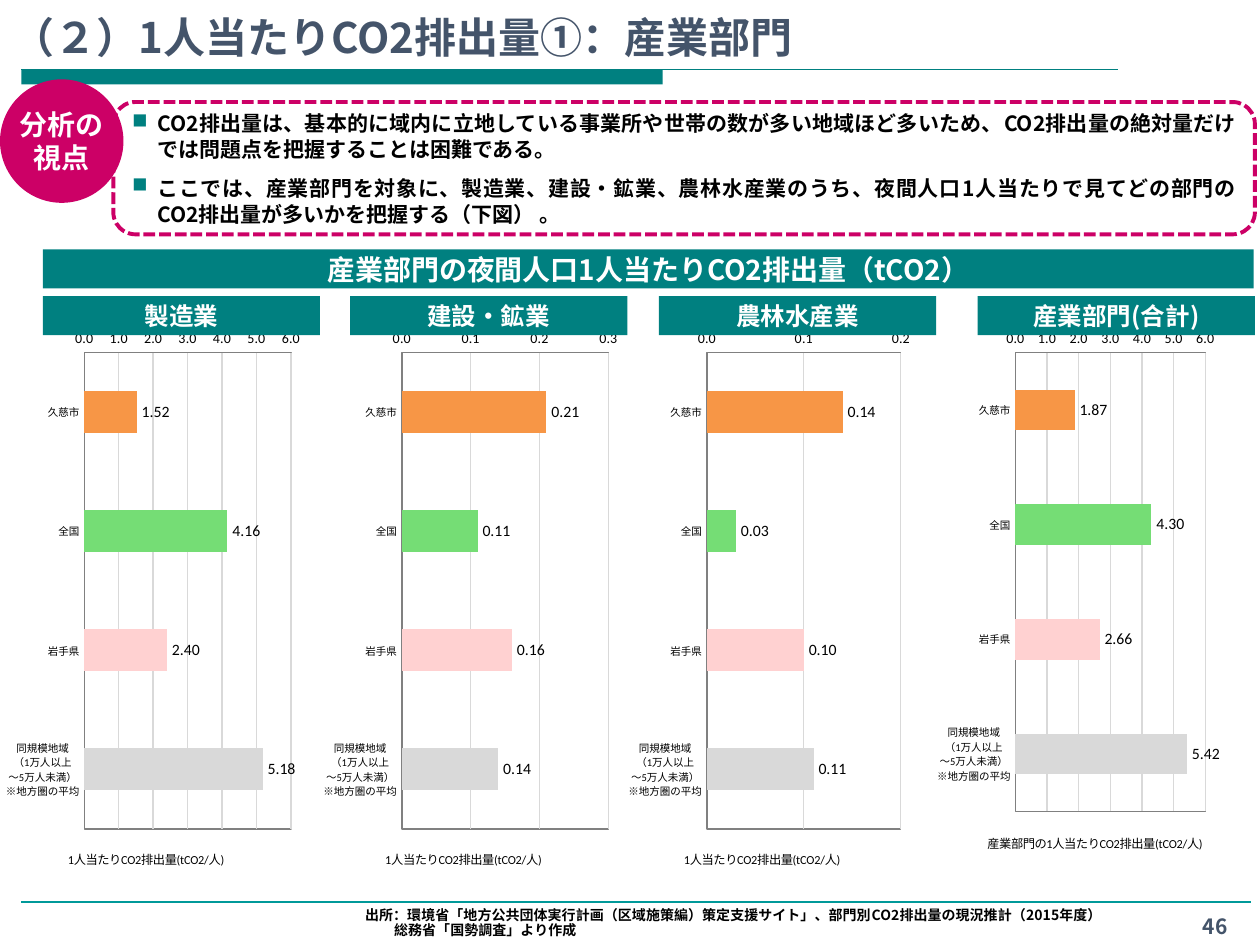
from dataclasses import dataclass

from lxml import etree
from pptx import Presentation
from pptx.chart.data import CategoryChartData
from pptx.dml.color import RGBColor
from pptx.enum.chart import XL_CHART_TYPE, XL_LABEL_POSITION, XL_TICK_MARK
from pptx.enum.dml import MSO_LINE
from pptx.enum.shapes import MSO_CONNECTOR, MSO_SHAPE
from pptx.enum.text import MSO_ANCHOR, PP_ALIGN
from pptx.oxml import parse_xml
from pptx.oxml.ns import nsdecls, qn
from pptx.util import Pt

SCALE = 9144  # EMU per px, 100 px to the inch
FONT, CHART_FONT = "Noto Sans CJK JP", "Calibri"
COLORS = {
    "teal": "008080", "rule": "009999", "magenta": "CC0066", "slate": "44546A",
    "black": "000000", "white": "FFFFFF", "axis": "808080", "grid": "D9D9D9",
}
BAR_COLORS = ("F79646", "75DD75", "FFD1D1", "D9D9D9")
RECT, ROUND, OVAL = MSO_SHAPE.RECTANGLE, MSO_SHAPE.ROUNDED_RECTANGLE, MSO_SHAPE.OVAL
LEFT, CENTER, JUSTIFY = PP_ALIGN.LEFT, PP_ALIGN.CENTER, PP_ALIGN.JUSTIFY
TOP, MIDDLE, BOTTOM = MSO_ANCHOR.TOP, MSO_ANCHOR.MIDDLE, MSO_ANCHOR.BOTTOM
NO_TICK = XL_TICK_MARK.NONE
CATEGORIES = ("久慈市", "全国", "岩手県", "同規模地域\n（1万人以上\n～5万人未満）\n※地方圏の平均")
UNIT_TITLE = "1人当たりCO2排出量(tCO2/人)"
CHART_TOP, CHART_HEIGHT, PLOT_TOP = 254, 453, 280


@dataclass(frozen=True)
class Frame:
    left: int
    top: int
    width: int
    height: int

    def emu(self) -> tuple:
        return tuple(px(n) for n in (self.left, self.top, self.width, self.height))


@dataclass(frozen=True)
class Sector:
    name: str
    header_left: int
    left: int
    width: int
    plot_left: int
    plot_width: int
    plot_height: int
    title_left: int
    title_top: int
    values: tuple
    maximum: float
    step: float
    title: str = UNIT_TITLE


SECTORS = (
    Sector("製造業", 34, 0, 243, 67, 164, 378, 52, 673, (1.52, 4.16, 2.40, 5.18), 6, 1),
    Sector("建設・鉱業", 278, 251, 244, 319, 164, 378, 304, 673, (0.21, 0.11, 0.16, 0.14), 0.3, 0.1),
    Sector("農林水産業", 523, 494, 233, 561, 154, 378, 541, 673, (0.14, 0.03, 0.10, 0.11), 0.2, 0.1),
    Sector("産業部門(合計)", 776, 739, 232, 806, 151, 364, 782, 660, (1.87, 4.30, 2.66, 5.42), 6, 1,
           "産業部門の" + UNIT_TITLE),
)


def px(length: int) -> int:
    return length * SCALE


def color(name: str) -> RGBColor:
    return RGBColor.from_string(COLORS[name])


def write(shape, text: str, size: int, ink: str, align=CENTER, anchor=MIDDLE, leading=None) -> None:
    frame = shape.text_frame
    frame.word_wrap = True
    frame.vertical_anchor = anchor
    frame.text = text
    for para in frame.paragraphs:
        para.alignment = align
        if leading:
            para.line_spacing = Pt(leading)
        for span in para.runs:
            span.font.size, span.font.bold, span.font.name = Pt(size), True, FONT
            span.font.color.rgb = color(ink)
            etree.SubElement(span.font._element, qn("a:ea"), typeface=FONT)


def add_block(page, kind, frame: Frame, fill: str = ""):
    shape = page.shapes.add_shape(kind, *frame.emu())
    shape.shadow.inherit = False
    shape.line.fill.background()
    if fill:
        shape.fill.solid()
        shape.fill.fore_color.rgb = color(fill)
    else:
        shape.fill.background()
    return shape


def add_label(page, frame: Frame, text: str, size: int, ink: str, **layout):
    box = page.shapes.add_textbox(*frame.emu())
    write(box, text, size, ink, **layout)
    return box


def add_rule(page, left: int, right: int, top: int, ink: str) -> None:
    rule = page.shapes.add_connector(MSO_CONNECTOR.STRAIGHT, px(left), px(top), px(right), px(top))
    rule.line.color.rgb = color(ink)
    rule.line.width = Pt(0.75)
    etree.SubElement(rule._element.spPr, qn("a:effectLst"))


def indent(para, margin: int, first: int) -> None:
    properties = para._p.get_or_add_pPr()
    properties.set("marL", str(px(margin)))
    properties.set("indent", str(px(first)))


def add_bullet(para) -> None:
    properties = para._p.get_or_add_pPr()
    bullet_color = etree.SubElement(properties, qn("a:buClr"))
    etree.SubElement(bullet_color, qn("a:srgbClr"), val=COLORS["teal"])
    etree.SubElement(properties, qn("a:buChar"), char="■")


def place(parent, position: int, inner: bool = False, **ratios: float) -> None:
    """Give a plot area or an axis title a manual layout."""
    for old in parent.findall(qn("c:layout")):
        parent.remove(old)
    layout = etree.Element(qn("c:layout"))
    manual = etree.SubElement(layout, qn("c:manualLayout"))
    if inner:
        etree.SubElement(manual, qn("c:layoutTarget"), val="inner")
    for mode in ("xMode", "yMode"):
        etree.SubElement(manual, qn(f"c:{mode}"), val="edge")
    for key, ratio in ratios.items():
        etree.SubElement(manual, qn(f"c:{key}"), val=f"{ratio:.4f}")
    parent.insert(position, layout)


def set_font(font, size: int) -> None:
    font.size, font.name, font.bold = Pt(size), CHART_FONT, False
    font.color.rgb = color("black")


def add_sector_chart(page, sector: Sector) -> None:
    data = CategoryChartData()
    data.categories = CATEGORIES
    data.add_series("Series 1", sector.values)
    frame = Frame(sector.left, CHART_TOP, sector.width, CHART_HEIGHT)
    chart = page.shapes.add_chart(XL_CHART_TYPE.BAR_CLUSTERED, *frame.emu(), data).chart
    chart.has_legend = chart.has_title = False
    set_font(chart.font, 10)

    # Bars and values
    plot = chart.plots[0]
    plot.gap_width, plot.vary_by_categories = 182, False
    series = plot.series[0]
    for index, hue in enumerate(BAR_COLORS):
        fill = series.points[index].format.fill
        fill.solid()
        fill.fore_color.rgb = RGBColor.from_string(hue)
    labels = series.data_labels
    labels.show_value, labels.position = True, XL_LABEL_POSITION.OUTSIDE_END
    labels.number_format, labels.number_format_is_linked = r"#,##0.00_);[Red]\(#,##0.00\)", False
    set_font(labels.font, 9)

    # Axes
    names, scale = chart.category_axis, chart.value_axis
    for axis, size in ((names, 6), (scale, 8)):
        axis.major_tick_mark = axis.minor_tick_mark = NO_TICK
        set_font(axis.tick_labels.font, size)
    names.reverse_order = True
    names.format.line.color.rgb = color("axis")
    names.format.line.width = Pt(0.75)
    scale.minimum_scale, scale.maximum_scale, scale.major_unit = 0, sector.maximum, sector.step
    scale.tick_labels.number_format = r"#,##0.0;[Red]\-#,##0.0"
    scale.tick_labels.number_format_is_linked = False
    scale.format.line.fill.background()
    scale.major_gridlines.format.line.color.rgb = color("grid")
    scale.major_gridlines.format.line.width = Pt(0.75)
    scale.axis_title.text_frame.text = sector.title
    set_font(scale.axis_title.text_frame.paragraphs[0].runs[0].font, 7)

    # Plot frame and positions
    area = chart._chartSpace.chart.plotArea
    area.append(parse_xml(
        f'<c:spPr {nsdecls("c", "a")}><a:noFill/><a:ln w="9525"><a:solidFill>'
        f'<a:srgbClr val="{COLORS["axis"]}"/></a:solidFill></a:ln></c:spPr>'))
    place(area, 0, inner=True, x=(sector.plot_left - sector.left) / sector.width,
          y=(PLOT_TOP - CHART_TOP) / CHART_HEIGHT,
          w=sector.plot_width / sector.width, h=sector.plot_height / CHART_HEIGHT)
    place(scale.axis_title._element, 1, x=(sector.title_left - sector.left) / sector.width,
          y=(sector.title_top - CHART_TOP) / CHART_HEIGHT)


def main() -> None:
    deck = Presentation()
    deck.slide_width, deck.slide_height = px(1000), px(750)
    page = deck.slides.add_slide(deck.slide_layouts[6])

    # Page rules
    add_block(page, RECT, Frame(17, 55, 509, 12), "teal")
    add_rule(page, 17, 887, 55, "teal")
    add_rule(page, 17, 993, 716, "rule")

    for sector in SECTORS:
        add_sector_chart(page, sector)

    # Title and page number
    add_label(page, Frame(0, 0, 869, 54), "（２）1人当たりCO2排出量①：産業部門", 24, "slate",
              align=LEFT, anchor=BOTTOM)
    add_label(page, Frame(929, 720, 71, 28), "46", 12, "slate", anchor=TOP)

    # Viewpoint panel
    panel = add_block(page, ROUND, Frame(90, 81, 906, 105))
    panel.line.color.rgb = color("magenta")
    panel.line.width, panel.line.dash_style = Pt(2.25), MSO_LINE.SQUARE_DOT
    write(panel, "CO2排出量は、基本的に域内に立地している事業所や世帯の数が多い地域ほど多いため、"
          "CO2排出量の絶対量だけでは問題点を把握することは困難である。\n"
          "ここでは、産業部門を対象に、製造業、建設・鉱業、農林水産業のうち、夜間人口1人当たりで見て"
          "どの部門のCO2排出量が多いかを把握する（下図） 。", 12, "black", align=JUSTIFY, leading=15)
    for para in panel.text_frame.paragraphs:
        para.space_before, para.space_after = Pt(3), Pt(4)
        indent(para, 20, -20)
        add_bullet(para)
    badge = add_block(page, OVAL, Frame(0, 63, 98, 98), "magenta")
    write(badge, "分析の\v視点", 16, "white", leading=19)
    badge.text_frame.word_wrap = False
    badge.text_frame.margin_left = badge.text_frame.margin_right = px(4)

    # Chart headings
    heading = add_block(page, RECT, Frame(34, 198, 961, 31), "teal")
    write(heading, "産業部門の夜間人口1人当たりCO2排出量（tCO2）", 16, "white")
    for sector in SECTORS:
        header = add_block(page, RECT, Frame(sector.header_left, 235, 220, 31), "teal")
        write(header, sector.name, 14, "white")

    # Sources
    sources = add_label(
        page, Frame(280, 713, 656, 37),
        "出所：環境省「地方公共団体実行計画（区域施策編）策定支援サイト」、部門別CO2排出量の現況推計（2015年度）\n"
        "総務省「国勢調査」より作成", 8, "black", align=JUSTIFY, anchor=BOTTOM, leading=9)
    first, second = sources.text_frame.paragraphs
    indent(first, 20, -20)
    indent(second, 23, 0)

    deck.save("out.pptx")


if __name__ == "__main__":
    main()
